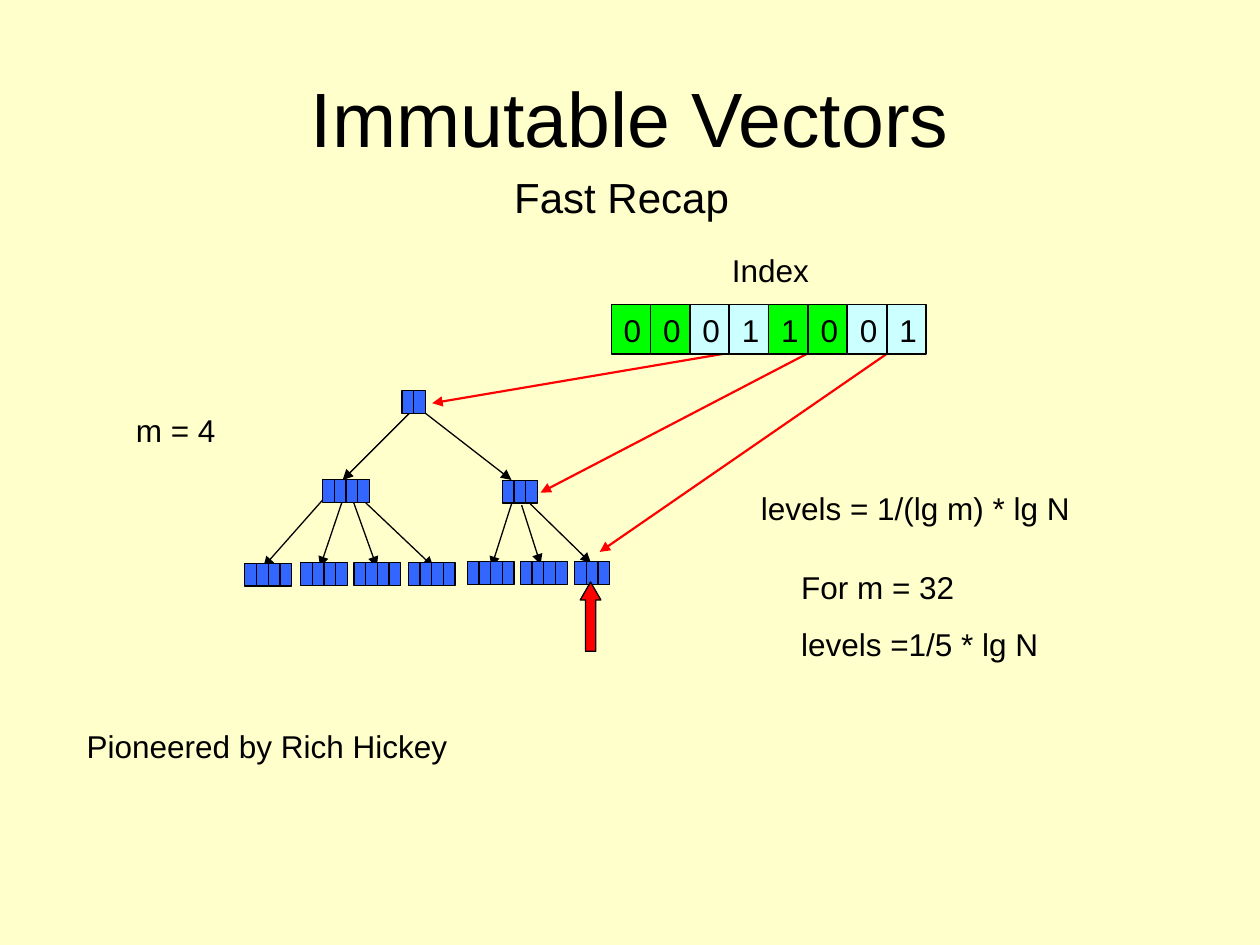
from dataclasses import dataclass

from lxml import etree
from pptx import Presentation
from pptx.dml.color import RGBColor
from pptx.enum.shapes import MSO_CONNECTOR, MSO_SHAPE
from pptx.enum.text import MSO_ANCHOR, MSO_AUTO_SIZE, PP_ALIGN
from pptx.oxml.ns import qn
from pptx.util import Pt

RECTANGLE, UP_ARROW = MSO_SHAPE.RECTANGLE, MSO_SHAPE.UP_ARROW
STRAIGHT = MSO_CONNECTOR.STRAIGHT
TOP, MIDDLE = MSO_ANCHOR.TOP, MSO_ANCHOR.MIDDLE
LEFT, CENTER = PP_ALIGN.LEFT, PP_ALIGN.CENTER
NO_AUTOFIT = MSO_AUTO_SIZE.NONE


@dataclass(frozen=True)
class Theme:
    font: str = "Arial"
    title: float = 44
    subtitle: float = 24
    body: float = 18
    paper: str = "FFFFCC"
    ink: str = "000000"
    node: str = "3366FF"
    marker: str = "FF0000"
    green: str = "00FF00"
    pale: str = "CCFFFF"
    thin: float = 0.75
    thick: float = 1.25
    space_before: float = 11.2


THEME = Theme()

TITLE = ("Immutable Vectors", (36, 21.6, 648, 90))
SUBTITLE = ("Fast Recap", (286.6, 94.3, 170, 36))
LABELS = [
    (["levels = 1/(lg m) * lg N"], (427.7, 275.8, 226.8, 28.8), LEFT),
    (["m = 4"], (70.6, 231.1, 62.6, 28.8), LEFT),
    (["Index"], (411.1, 139.7, 85, 28.8), LEFT),
    (["For m = 32", "levels =1/5 * lg N"], (450.7, 321.1, 159.1, 61.9), LEFT),
    (["Pioneered by Rich Hickey"], (19.4, 411.8, 266.4, 28.8), CENTER),
]

INDEX_BITS = ["00", "01", "10", "01"]
INDEX_LEFT, INDEX_TOP = 349.3, 174.2
BIT_PITCH, BIT_WIDTH, BIT_HEIGHT = 22.5, 22.3, 28.1

CELL_WIDTH, CELL_HEIGHT = 6.7, 13
NODES = [
    (229.7, 223.2, 2),
    (184.3, 274, 4),
    (287.1, 274.5, 3),
    (139.9, 321.9, 4),
    (171.8, 321.5, 4),
    (202.3, 321.5, 4),
    (233.3, 321.5, 4),
    (267, 321, 4),
    (297.4, 321, 4),
    (328.3, 321, 3),
]
TREE_EDGES = [
    (235.4, 234.7, 195.8, 274.3),
    (241.2, 234.7, 292.3, 274.3),
    (184.3, 285.8, 150.5, 324),
    (195.8, 285.8, 182.9, 324),
    (201.6, 285.8, 215.3, 324),
    (207.4, 285.8, 247.7, 324),
    (293, 285.8, 280.8, 324),
    (298.1, 288.7, 308.9, 322.6),
    (303.1, 288, 337.7, 321.8),
]
LOOKUPS = [
    (416.9, 201.6, 247, 230.4),
    (462.2, 201.6, 308.9, 281.5),
    (507.6, 201.6, 342.7, 315.4),
]
RESULT_ARROW = (331.6, 332.6, 11.8, 39.6)


def color(code):
    return RGBColor.from_string(code)


def points(values):
    return [Pt(value) for value in values]


def write(shape, lines, size, align=LEFT, anchor=TOP, space=0, wrap=True):
    frame = shape.text_frame
    frame.auto_size = NO_AUTOFIT
    frame.word_wrap = wrap
    frame.vertical_anchor = anchor
    frame.margin_left = frame.margin_right = Pt(7.2)
    frame.margin_top = frame.margin_bottom = Pt(3.6)
    for number, line in enumerate(lines):
        para = frame.add_paragraph() if number else frame.paragraphs[0]
        para.alignment = align
        para.space_before = Pt(space)
        span = para.add_run()
        span.text = line
        span.font.name = THEME.font
        span.font.size = Pt(size)
        span.font.color.rgb = color(THEME.ink)


def fill_placeholder(holder, content, size, **style):
    text, place = content
    holder.left, holder.top, holder.width, holder.height = points(place)
    write(holder, [text], size, **style)


def draw_shape(shapes, kind, place, fill):
    shape = shapes.add_shape(kind, *points(place))
    shape.shadow.inherit = False
    shape.fill.solid()
    shape.fill.fore_color.rgb = color(fill)
    shape.line.color.rgb = color(THEME.ink)
    shape.line.width = Pt(THEME.thin)
    return shape


def draw_arrow(shapes, ends, stroke, width):
    arrow = shapes.add_connector(STRAIGHT, *points(ends))
    arrow.line.color.rgb = color(stroke)
    arrow.line.width = Pt(width)
    etree.SubElement(arrow.line._get_or_add_ln(), qn("a:tailEnd"), type="triangle")
    etree.SubElement(arrow._element.spPr, qn("a:effectLst"))


def draw_node(shapes, left, top, count):
    group = shapes.add_group_shape()
    for column in range(count):
        place = (left + column * CELL_WIDTH, top, CELL_WIDTH, CELL_HEIGHT)
        draw_shape(group.shapes, RECTANGLE, place, THEME.node)


def draw_index(shapes):
    for position, bit in enumerate("".join(INDEX_BITS)):
        fill = (THEME.green, THEME.pale)[position // 2 % 2]
        left = INDEX_LEFT + position * BIT_PITCH
        box = draw_shape(shapes, RECTANGLE, (left, INDEX_TOP, BIT_WIDTH, BIT_HEIGHT), fill)
        write(box, [bit], THEME.body, space=THEME.space_before, wrap=False)


def main():
    deck = Presentation()
    deck.slide_width, deck.slide_height = Pt(720), Pt(540)
    page = deck.slides.add_slide(deck.slide_layouts[0])
    page.background.fill.solid()
    page.background.fill.fore_color.rgb = color(THEME.paper)
    shapes = page.shapes

    fill_placeholder(shapes.title, TITLE, THEME.title, align=CENTER, anchor=MIDDLE)
    fill_placeholder(page.placeholders[1], SUBTITLE, THEME.subtitle, space=15)

    for ends in TREE_EDGES:
        draw_arrow(shapes, ends, THEME.ink, THEME.thin)
    for ends in LOOKUPS:
        draw_arrow(shapes, ends, THEME.marker, THEME.thick)
    for node in NODES:
        draw_node(shapes, *node)
    draw_index(shapes)

    pointer = draw_shape(shapes, UP_ARROW, RESULT_ARROW, THEME.marker)
    pointer.adjustments[0], pointer.adjustments[1] = 0.5, 0.87

    for lines, place, align in LABELS:
        box = shapes.add_textbox(*points(place))
        write(box, lines, THEME.body, align, space=THEME.space_before)

    deck.save("out.pptx")


if __name__ == "__main__":
    main()
